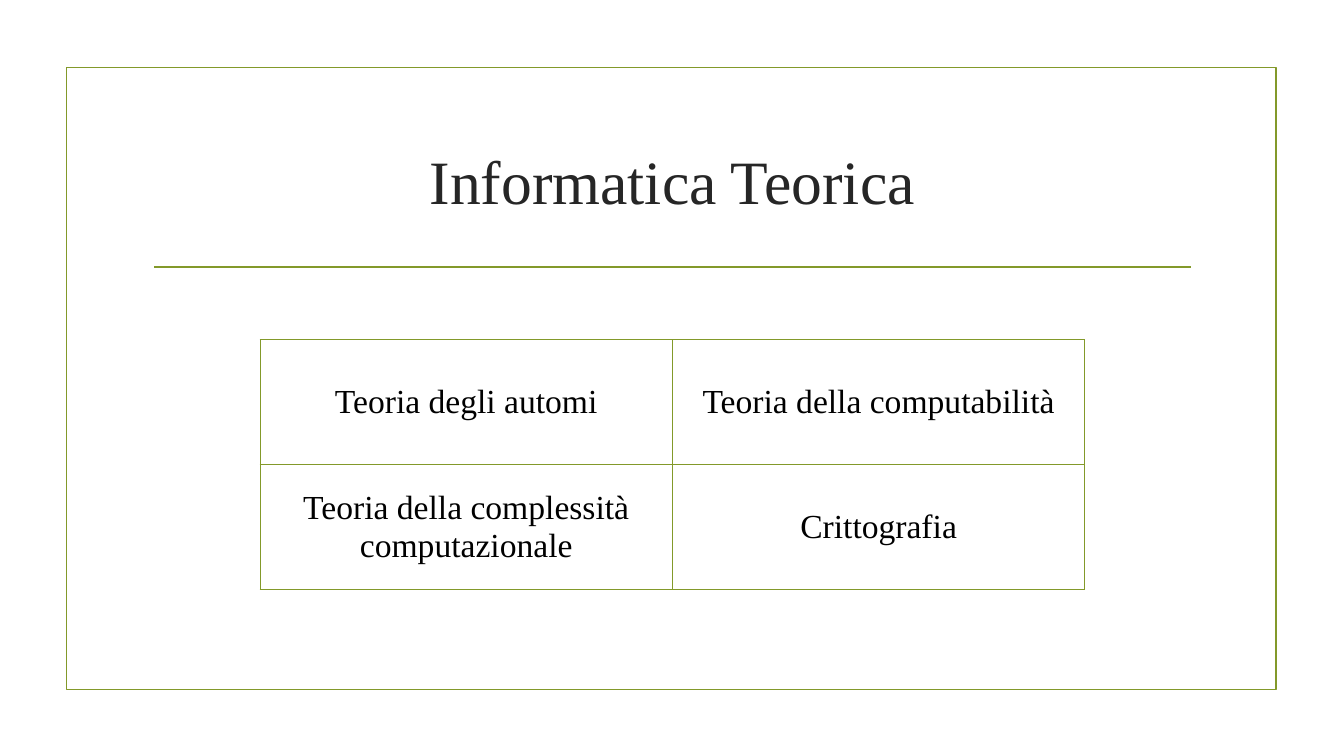
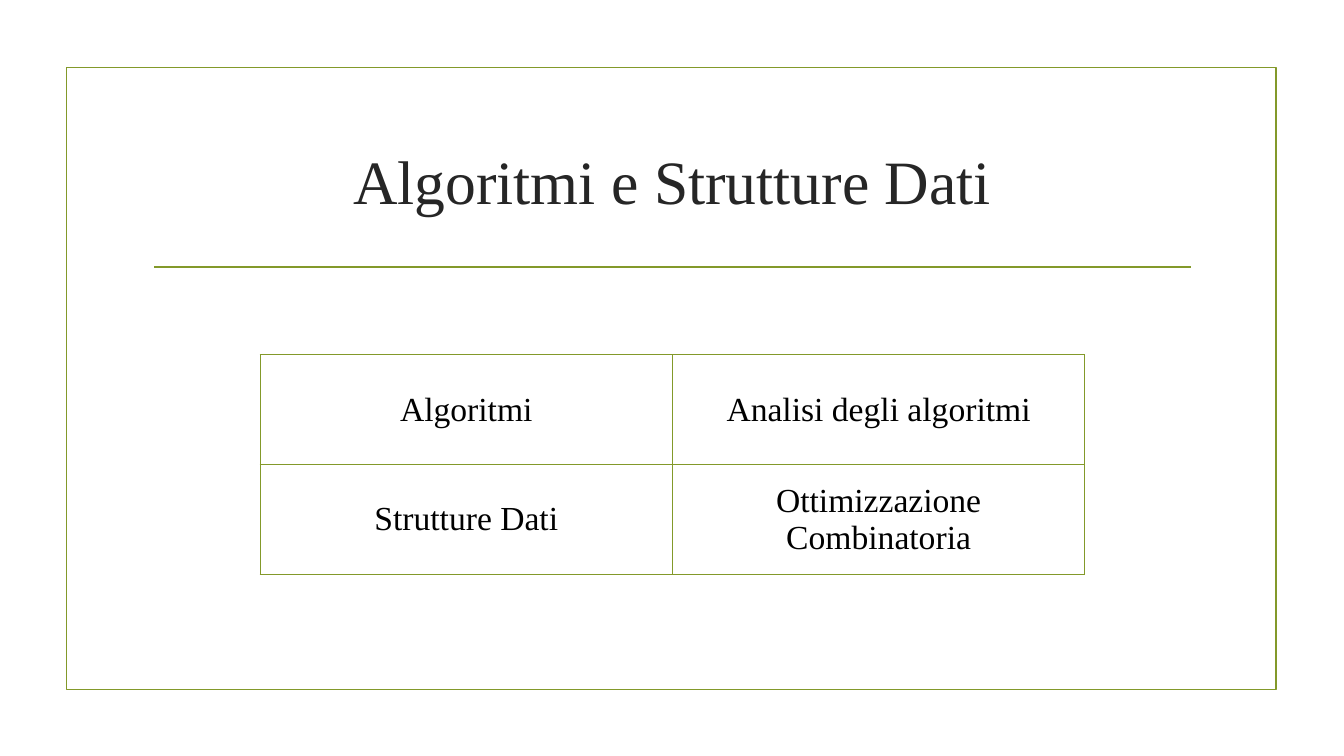
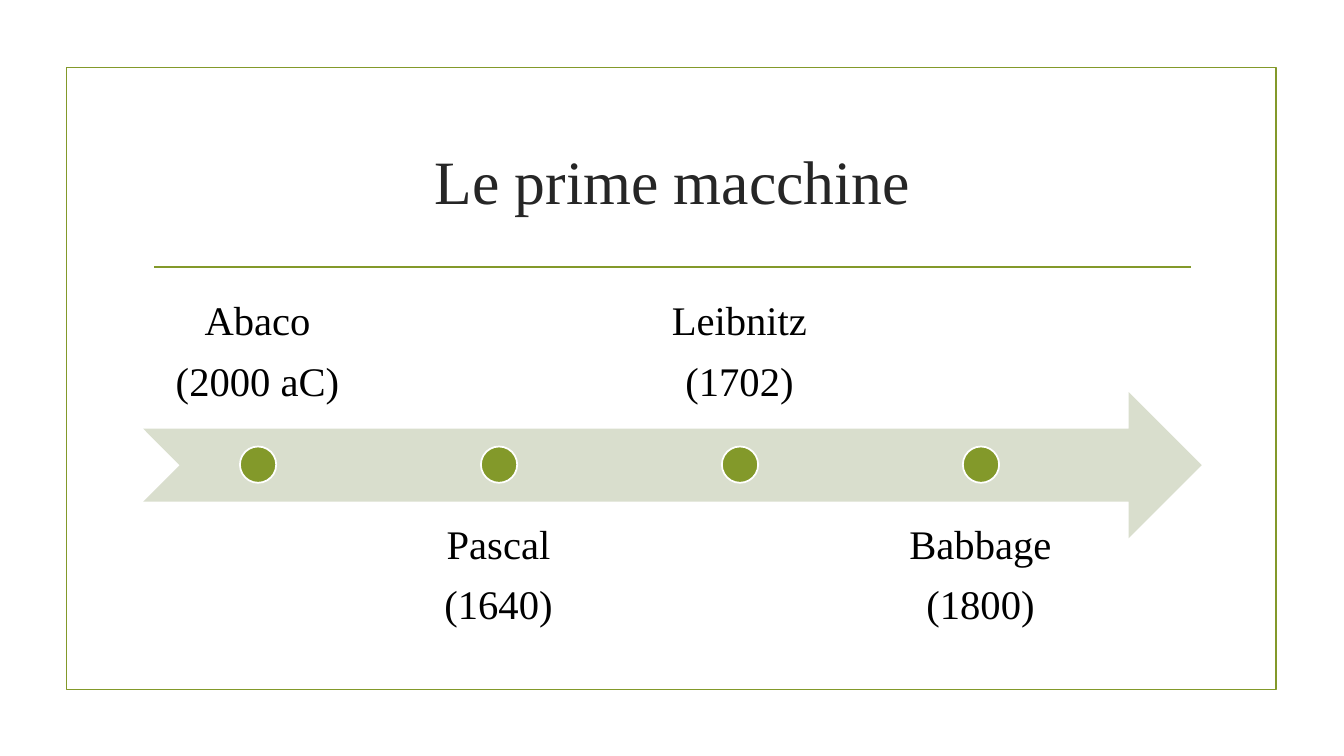
"""Build three slides on theoretical computing, algorithms and early machines."""
import pptx
import pptx.chart.data
import pptx.dml.color
import pptx.enum.shapes
import pptx.enum.text
import pptx.oxml
import pptx.oxml.ns
import pptx.util

PX = 9144
FONT = "Times New Roman"
OLIVE = pptx.dml.color.RGBColor(0x83, 0x99, 0x2A)
PALE = pptx.dml.color.RGBColor(0xD9, 0xDE, 0xCD)
DARK = pptx.dml.color.RGBColor(0x26, 0x26, 0x26)
BLACK = pptx.dml.color.RGBColor(0, 0, 0)
WHITE = pptx.dml.color.RGBColor(0xFF, 0xFF, 0xFF)
SHAPE = pptx.enum.shapes.MSO_SHAPE
ANCHOR = pptx.enum.text.MSO_ANCHOR
CENTER = pptx.enum.text.PP_ALIGN.CENTER


def add_text(para, text, size, color):
    para.alignment = CENTER
    span = para.add_run()
    span.text = text
    span.font.name = FONT
    span.font.size = pptx.util.Pt(size)
    span.font.color.rgb = color


def add_page(title):
    page = deck.slides.add_slide(layout)
    box = page.shapes.title
    box.left, box.top, box.width, box.height = 142 * PX, 107 * PX, 1050 * PX, 143 * PX
    box.text_frame.vertical_anchor = ANCHOR.MIDDLE
    add_text(box.text_frame.paragraphs[0], title, 44, DARK)
    return page


deck = pptx.Presentation()
deck.slide_width, deck.slide_height = 1333 * PX, 750 * PX
layout = deck.slide_layouts[5]

tables = [
    ("Informatica Teorica", 337, 124,
     [["Teoria degli automi", "Teoria della computabilità"],
      ["Teoria della complessità computazionale", "Crittografia"]]),
    ("Algoritmi e Strutture Dati", 352, 109,
     [["Algoritmi", "Analisi degli algoritmi"],
      ["Strutture Dati", "Ottimizzazione Combinatoria"]]),
]
for title, top, row_height, rows in tables:
    page = add_page(title)
    table = page.shapes.add_table(
        2, 2, 258 * PX, top * PX, 818 * PX, 2 * row_height * PX).table
    table.first_row = False
    table.horz_banding = False
    for row, texts in enumerate(rows):
        for column, text in enumerate(texts):
            cell = table.cell(row, column)
            cell.vertical_anchor = ANCHOR.MIDDLE
            cell.margin_left = cell.margin_right = 10 * PX
            cell.margin_top = cell.margin_bottom = 10 * PX
            add_text(cell.text_frame.paragraphs[0], text, 24, BLACK)
            properties = cell._tc.get_or_add_tcPr()
            for side in ("lnL", "lnR", "lnT", "lnB"):
                properties.append(pptx.oxml.parse_xml(
                    f'<a:{side} {pptx.oxml.ns.nsdecls("a")} w="12700">'
                    f'<a:solidFill><a:srgbClr val="{OLIVE}"/></a:solidFill></a:{side}>'))
            cell.fill.background()

page = add_page("Le prime macchine")

frame = page.shapes.add_shape(SHAPE.RECTANGLE, 66 * PX, 67 * PX, 1200 * PX, 617 * PX)
frame.shadow.inherit = False
frame.fill.background()
rule = page.shapes.add_connector(
    pptx.enum.shapes.MSO_CONNECTOR.STRAIGHT, 153 * PX, 265 * PX, 1181 * PX, 265 * PX)
rule.element.spPr.append(pptx.oxml.parse_xml(
    f'<a:effectLst {pptx.oxml.ns.nsdecls("a")}/>'))
for shape in (frame, rule):
    shape.line.color.rgb = OLIVE
    shape.line.width = pptx.util.Pt(1.25)
    layout.shapes.element.append(shape.element)

arrow = page.shapes.add_shape(
    SHAPE.NOTCHED_RIGHT_ARROW, 142 * PX, 389 * PX, 1050 * PX, 145 * PX)
arrow.shadow.inherit = False
arrow.fill.solid()
arrow.fill.fore_color.rgb = PALE
arrow.line.fill.background()

machines = [("Abaco", "(2000 aC)"), ("Pascal", "(1640)"),
            ("Leibnitz", "(1702)"), ("Babbage", "(1800)")]
for index, lines in enumerate(machines):
    left = 142 + 239 * index
    above = index % 2 == 0
    box = page.shapes.add_textbox(
        left * PX, (280 if above else 497) * PX, 227 * PX, 145 * PX)
    text_frame = box.text_frame
    text_frame.word_wrap = True
    text_frame.vertical_anchor = ANCHOR.BOTTOM if above else ANCHOR.TOP
    text_frame.margin_left = text_frame.margin_right = 23 * PX
    text_frame.margin_top = text_frame.margin_bottom = 23 * PX
    for number, text in enumerate(lines):
        para = text_frame.add_paragraph() if number else text_frame.paragraphs[0]
        para.line_spacing = 0.9
        if number:
            para.space_before = pptx.util.Pt(12)
        add_text(para, text, 29, BLACK)

    dot = page.shapes.add_shape(
        SHAPE.OVAL, (left + 96) * PX, 443 * PX, 36 * PX, 36 * PX)
    dot.shadow.inherit = False
    dot.fill.solid()
    dot.fill.fore_color.rgb = OLIVE
    dot.line.color.rgb = WHITE
    dot.line.width = pptx.util.Pt(1.25)

deck.save("out.pptx")
